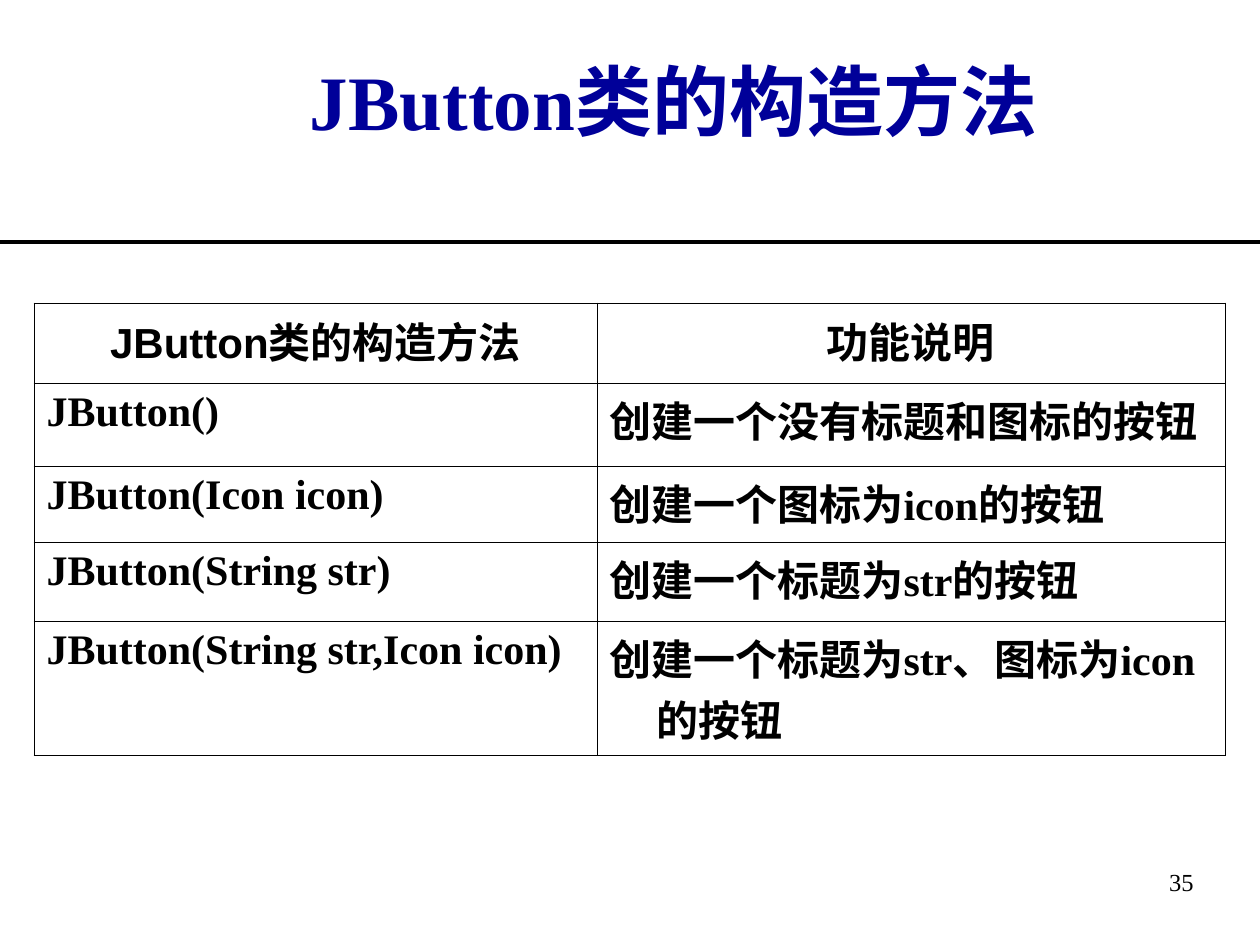
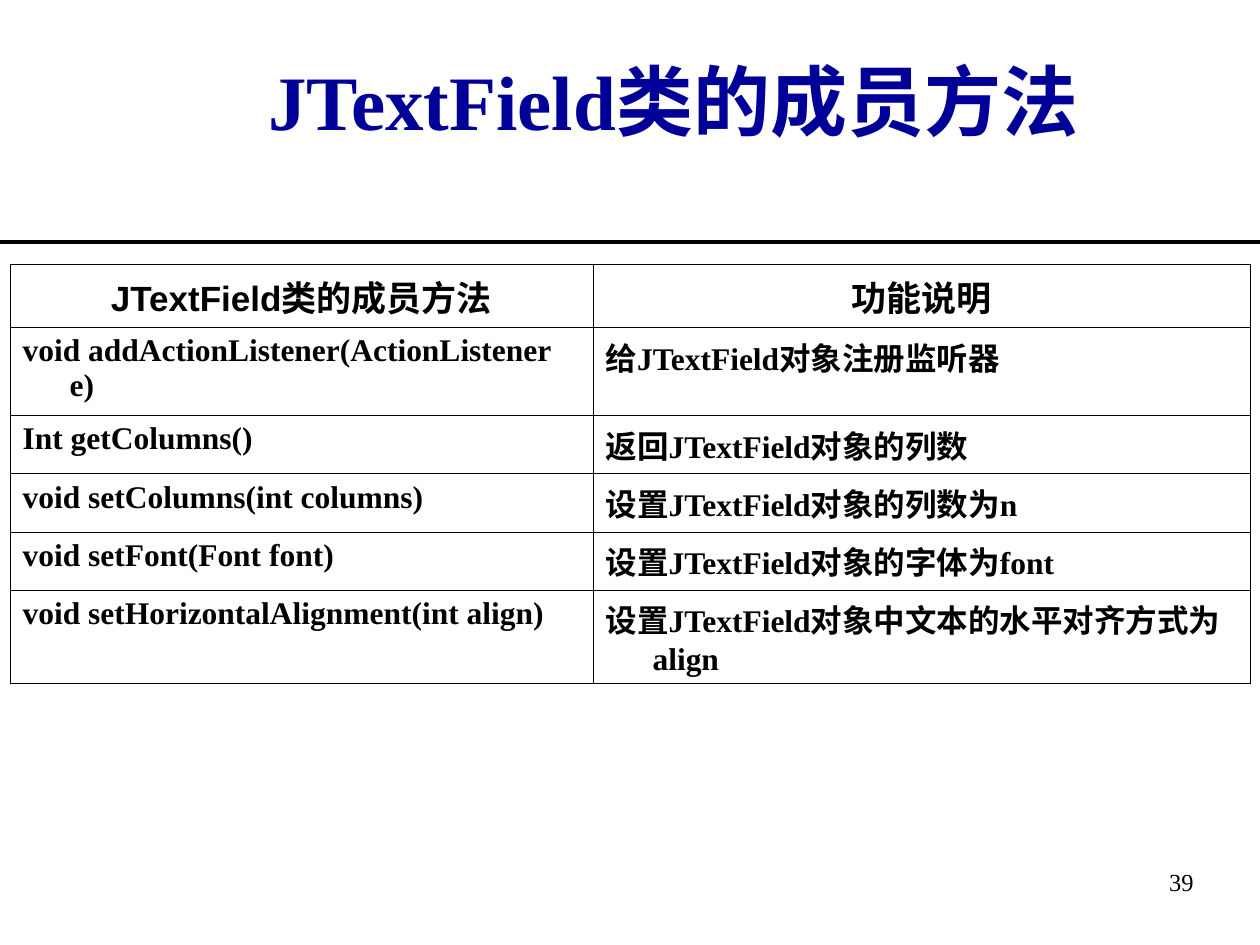
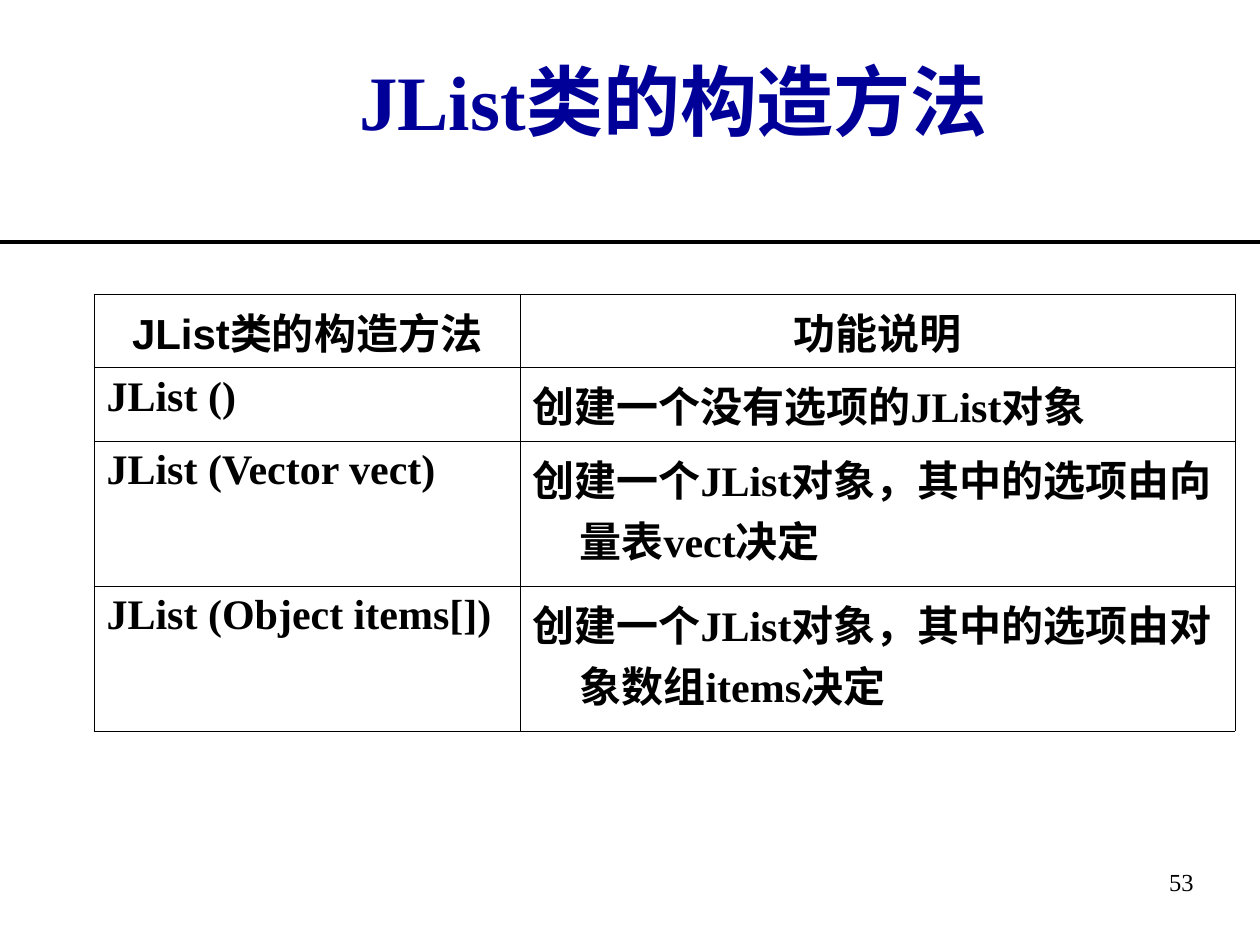
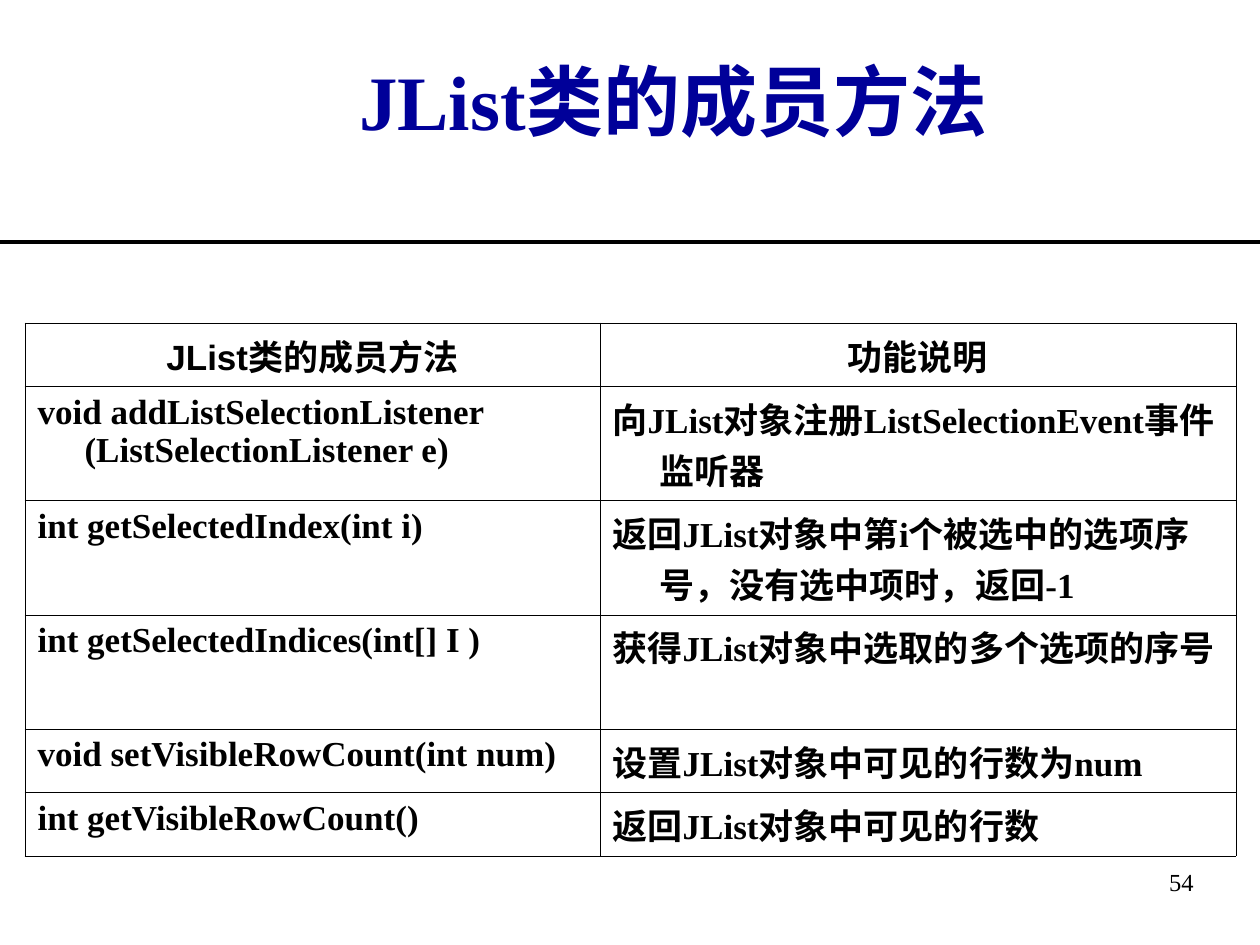
import pptx
import pptx.util
import pptx.dml.color
import pptx.enum.lang
import pptx.enum.shapes
import pptx.enum.text
import pptx.oxml
import pptx.oxml.ns

Pt = pptx.util.Pt
ALIGN = pptx.enum.text.PP_ALIGN
COLORS = {"title": "000099", "ink": "000000", "paper": "FFFFFF"}
SERIF, SANS = "Times New Roman", "Arial"
SLIDE_W, SLIDE_H = 1260, 945
TITLE_BOX = (147, 21, 1071, 158)
NUMBER_BOX = (1133, 861, 73, 84)
RULE_Y = 242
HANGING = 47
BORDER_PT = 0.45

SLIDES = [
    dict(
        number=35, title="JButton类的构造方法", at=(34, 303), cols=(563, 628),
        heights=(80, 83, 76, 79, 116), head_size=24, body_size=24,
        rows=[
            ("JButton()", "创建一个没有标题和图标的按钮"),
            ("JButton(Icon icon)", "创建一个图标为icon的按钮"),
            ("JButton(String str)", "创建一个标题为str的按钮"),
            ("JButton(String str,Icon icon)", "创建一个标题为str、图标为icon的按钮"),
        ]),
    dict(
        number=39, title="JTextField类的成员方法", at=(10, 264), cols=(583, 657),
        heights=(54, 88, 50, 50, 50, 88), head_size=20, body_size=18,
        rows=[
            ("void addActionListener(ActionListener e)", "给JTextField对象注册监听器"),
            ("Int getColumns()", "返回JTextField对象的列数"),
            ("void setColumns(int columns)", "设置JTextField对象的列数为n"),
            ("void setFont(Font font)", "设置JTextField对象的字体为font"),
            ("void setHorizontalAlignment(int align)",
             "设置JTextField对象中文本的水平对齐方式为align"),
        ]),
    dict(
        number=53, title="JList类的构造方法", at=(94, 294), cols=(426, 715),
        heights=(70, 70, 145, 145), head_size=24, body_size=24,
        rows=[
            ("JList ()", "创建一个没有选项的JList对象"),
            ("JList (Vector vect)", "创建一个JList对象，其中的选项由向量表vect决定"),
            ("JList (Object items[])", "创建一个JList对象，其中的选项由对象数组items决定"),
        ]),
    dict(
        number=54, title="JList类的成员方法", at=(25, 323), cols=(575, 636),
        heights=(54, 97, 97, 97, 54, 54), head_size=20, body_size=20,
        rows=[
            ("void addListSelectionListener (ListSelectionListener e)",
             "向JList对象注册ListSelectionEvent事件监听器"),
            ("int getSelectedIndex(int i)",
             "返回JList对象中第i个被选中的选项序号，没有选中项时，返回-1"),
            ("int getSelectedIndices(int[] I )", "获得JList对象中选取的多个选项的序号"),
            ("void setVisibleRowCount(int num)", "设置JList对象中可见的行数为num"),
            ("int getVisibleRowCount()", "返回JList对象中可见的行数"),
        ]),
]


def px(n):
    return pptx.util.Emu(round(n * 914400 / 126))


def rgb(name):
    return pptx.dml.color.RGBColor.from_string(COLORS[name])


def write(tf, text, size, font=SERIF, color="ink", bold=True, align=ALIGN.LEFT):
    p = tf.paragraphs[0]
    p.text = text
    p.alignment = align
    for r in p.runs:
        r.font.size, r.font.name, r.font.bold = Pt(size), font, bold
        r.font.color.rgb = rgb(color)
        r.font.language_id = pptx.enum.lang.MSO_LANGUAGE_ID.SIMPLIFIED_CHINESE
    return p


def add_text(slide, box, text, size, anchor, **style):
    tf = slide.shapes.add_textbox(*map(px, box)).text_frame
    tf.word_wrap = True
    tf.vertical_anchor = anchor
    write(tf, text, size, **style)


def add_frame(slide, title, number):
    """Title, rule below it and slide number, the same on every slide."""
    anchors = pptx.enum.text.MSO_ANCHOR
    # The trailing space shifts the centred title slightly to the left.
    add_text(slide, TITLE_BOX, title + " ", 44, anchors.MIDDLE,
             color="title", align=ALIGN.CENTER)
    rule = slide.shapes.add_connector(
        pptx.enum.shapes.MSO_CONNECTOR.STRAIGHT,
        px(0), px(RULE_Y), px(SLIDE_W), px(RULE_Y))
    rule.line.color.rgb = rgb("ink")
    rule.line.width = Pt(2.25)
    rule._element.spPr.append(pptx.oxml.parse_xml(
        f"<a:effectLst {pptx.oxml.ns.nsdecls('a')}/>"))
    add_text(slide, NUMBER_BOX, str(number), 14, anchors.TOP,
             bold=False, align=ALIGN.RIGHT)


def style_cell(cell):
    """Thin border on all four sides, no fill."""
    tcPr = cell._tc.get_or_add_tcPr()
    for side in "LRTB":
        tcPr.append(pptx.oxml.parse_xml(
            f'<a:ln{side} {pptx.oxml.ns.nsdecls("a")} w="{Pt(BORDER_PT)}"><a:solidFill>'
            f'<a:srgbClr val="{COLORS["ink"]}"/></a:solidFill></a:ln{side}>'))
    cell.fill.background()


def add_method_table(slide, at, cols, heights, head, rows, head_size, body_size):
    box = (*at, sum(cols), sum(heights))
    table = slide.shapes.add_table(len(heights), len(cols), *map(px, box)).table
    table.first_row = table.horz_banding = False
    for column, width in zip(table.columns, cols):
        column.width = px(width)
    for row, height in zip(table.rows, heights):
        row.height = px(height)
    for i, texts in enumerate([head, *rows]):
        for j, text in enumerate(texts):
            cell = table.cell(i, j)
            style_cell(cell)
            if i == 0:
                p = write(cell.text_frame, text, head_size, SANS, align=ALIGN.CENTER)
            else:
                p = write(cell.text_frame, text, body_size)
            pPr = p._p.get_or_add_pPr()
            pPr.set("marL", str(px(HANGING)))
            pPr.set("indent", str(-px(HANGING)))


def add_method_slide(prs, title, number, **table):
    slide = prs.slides.add_slide(prs.slide_layouts[6])
    slide.background.fill.solid()
    slide.background.fill.fore_color.rgb = rgb("paper")
    add_method_table(slide, head=(title, "功能说明"), **table)
    add_frame(slide, title, number)


def main():
    prs = pptx.Presentation()
    prs.slide_width, prs.slide_height = px(SLIDE_W), px(SLIDE_H)
    for content in SLIDES:
        add_method_slide(prs, **content)
    prs.save("out.pptx")


if __name__ == "__main__":
    main()
